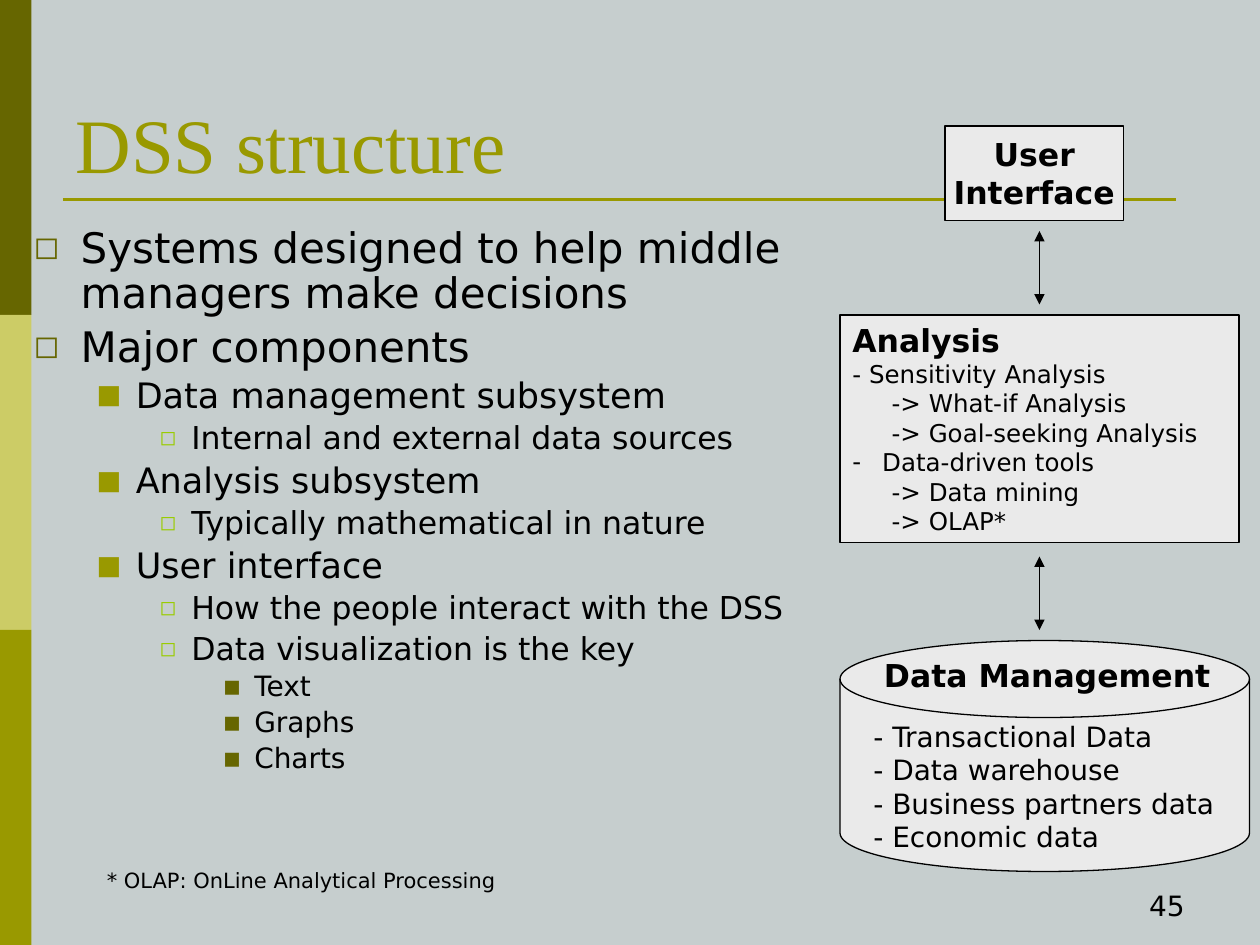
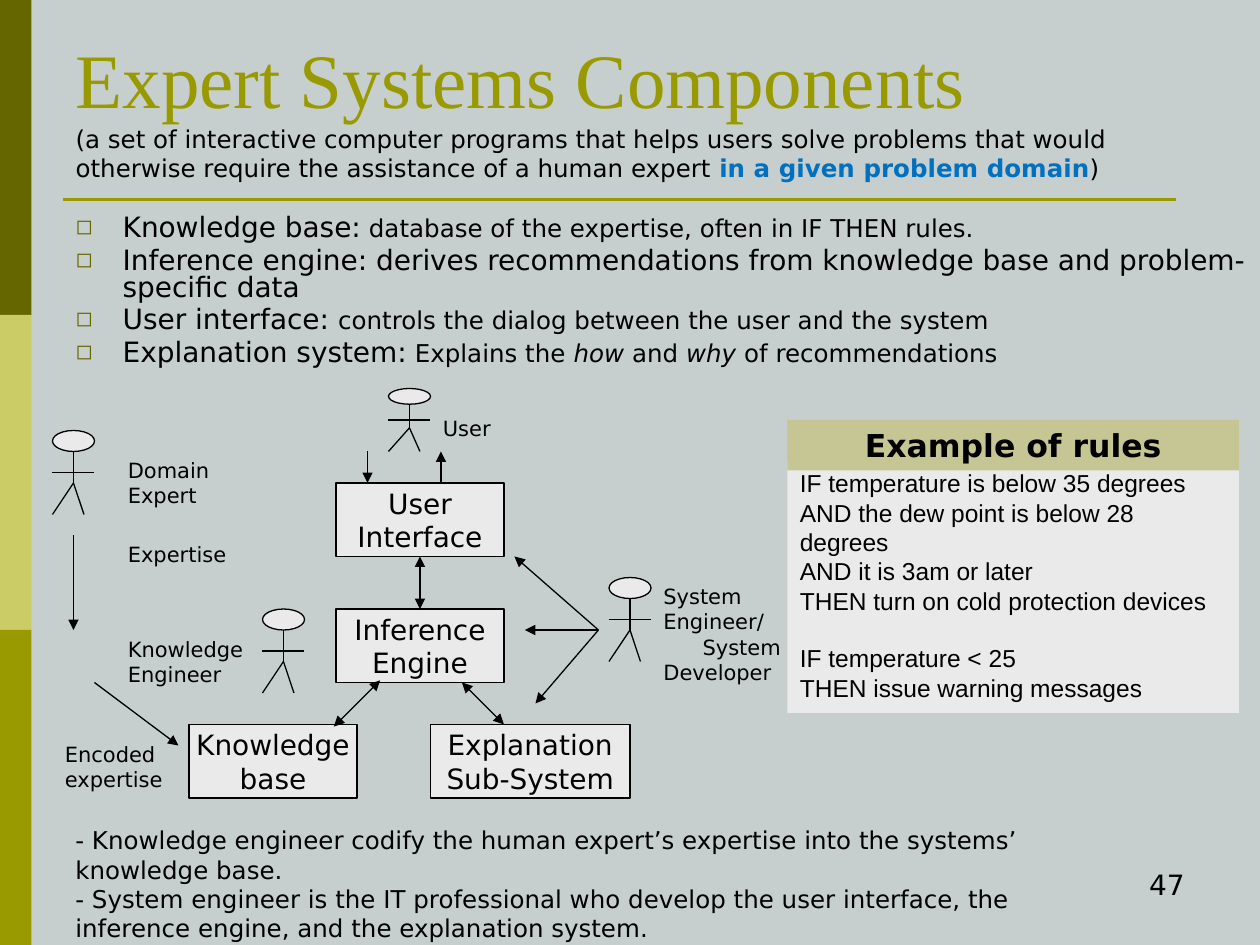
from lxml import etree
from pptx import Presentation
from pptx import util as u
from pptx.dml.color import RGBColor
from pptx.enum import shapes, text
from pptx.oxml import ns

OLIVE_DARK = RGBColor(0x66, 0x66, 0x00)
OLIVE_LIGHT = RGBColor(0xCC, 0xCC, 0x66)
OLIVE = RGBColor(0x99, 0x99, 0x00)
LIME = RGBColor(0x99, 0xCC, 0x00)
KHAKI = RGBColor(0xC5, 0xC6, 0x94)
BACKDROP = RGBColor(0xC6, 0xCE, 0xCE)
PANEL = RGBColor(0xEA, 0xEA, 0xEA)
BLUE = RGBColor(0x00, 0x70, 0xC0)
BLACK = RGBColor(0, 0, 0)

SANS, SERIF, RULE_FONT = "DejaVu Sans", "Times New Roman", "Arial"
LEFT, CENTER, RIGHT = text.PP_ALIGN.LEFT, text.PP_ALIGN.CENTER, text.PP_ALIGN.RIGHT
TOP, MIDDLE, BOTTOM = text.MSO_ANCHOR.TOP, text.MSO_ANCHOR.MIDDLE, text.MSO_ANCHOR.BOTTOM
RECT, OVAL = shapes.MSO_SHAPE.RECTANGLE, shapes.MSO_SHAPE.OVAL
DISK = shapes.MSO_SHAPE.FLOWCHART_MAGNETIC_DISK

# Places are (left, top, width, height) on a grid of 120 by 90 cells
CELL = 25.4 / 120
SUB_INDENT = 0.79  # cm

DEFAULT = dict(size=12, font=SANS, color=BLACK, bold=False, italic=False, align=LEFT,
               before=0, spacing=1.0, level=0, indent=0, hang=0, bullet=None)
TITLE = dict(size=44, font=SERIF, color=OLIVE)

# Outline levels: bullet is (character, colour, percent of text size)
LEVELS = [
    dict(size=24, indent=0.95, hang=0.95, bullet=("◻", OLIVE_DARK, 75)),
    dict(size=20, indent=2.06, hang=0.79, bullet=("■", OLIVE, 75)),
    dict(size=18, indent=3.18, hang=0.64, bullet=("◻", LIME, 65)),
    dict(size=16, indent=4.45, hang=0.64, bullet=("▪", OLIVE_DARK, 100)),
]

# ---- DSS structure ----
DSS_OUTLINE = [
    (0, "Systems designed to help middle managers make decisions"),
    (0, "Major components"),
    (1, "Data management subsystem"),
    (2, "Internal and external data sources"),
    (1, "Analysis subsystem"),
    (2, "Typically mathematical in nature"),
    (1, "User interface"),
    (2, "How the people interact with the DSS"),
    (2, "Data visualization is the key"),
    (3, "Text"),
    (3, "Graphs"),
    (3, "Charts"),
]
SUB = dict(indent=SUB_INDENT)
ANALYSIS = [
    ("Analysis", dict(size=18, bold=True)),
    "- Sensitivity Analysis",
    ("-> What-if Analysis", SUB),
    ("-> Goal-seeking Analysis", SUB),
    ("Data-driven tools", dict(indent=0.6, hang=0.6, bullet=("-", BLACK, 100))),
    ("-> Data mining", SUB),
    ("-> OLAP*", SUB),
]
DATA_SOURCES = ["- Transactional Data", "- Data warehouse",
                "- Business partners data", "- Economic data"]
DSS_ARROWS = [(99, 60, 99, 53), (99, 22, 99, 29)]

# ---- Expert Systems Components ----
DETAIL = dict(size=14)
ITALIC = dict(size=14, italic=True)
EXPERT_TITLE = [
    "Expert Systems Components",
    (["(a set of interactive computer programs that helps users solve problems that would "
      "otherwise require the assistance of a human expert ",
      ("in a given problem domain", dict(color=BLUE, bold=True)), ")"],
     dict(size=14, font=SANS, color=BLACK)),
]
EXPERT_PARTS = [
    ["Knowledge base:", (" database of the expertise, often in IF THEN rules.", DETAIL)],
    ["Inference engine: derives recommendations from knowledge base and "
     "problem-specific data"],
    ["User interface: ", ("controls the dialog between the user and the system", DETAIL)],
    ["Explanation system:", (" Explains the ", DETAIL), ("how", ITALIC), (" and ", DETAIL),
     ("why", ITALIC), (" of recommendations", DETAIL)],
]
MODULES = {
    "knowledge": (["Knowledge", "base"], (18, 69, 16, 7)),
    "explanation": (["Explanation", "Sub-System"], (41, 69, 19, 7)),
    "inference": (["Inference", "Engine"], (32, 58, 16, 7)),
    "interface": (["User", "Interface"], (32, 46, 16, 7)),
}
# Left, top and scale of each stick figure
PEOPLE = [(5, 41, 1), (25, 58, 1), (37, 37, 0.75), (58, 55, 1)]
LABELS = [
    (["Domain Expert"], (11, 43, 12, 6)),
    (["Knowledge Engineer"], (11, 60, 14, 6)),
    (["Expertise"], (11, 51, 12, 3.6)),
    (["User"], (41, 39, 8, 3.6)),
    (["System", "Engineer/", ("System", SUB), "Developer"], (62, 55, 14, 11)),
    (["Encoded expertise"], (5, 70, 14, 6)),
]
ONE_WAY = [(7, 51, 7, 60), (9, 65, 17, 71), (35, 43, 35, 46), (42, 46, 42, 43),
           (57, 60, 49, 53), (57, 60, 50, 60), (57, 60, 51, 67)]
TWO_WAY = [(44, 65, 48, 69), (36.2, 64.8, 31.8, 69.2)]
RULES = [
    "IF temperature is below 35 degrees",
    "AND the dew point is below 28 degrees",
    "AND it is 3am or later",
    "THEN turn on cold protection devices",
    ("IF temperature < 25", dict(before=16)),
    "THEN issue warning messages",
]
ROLES = [
    "- Knowledge engineer codify the human expert’s expertise into the systems’ "
    "knowledge base.",
    "- System engineer is the IT professional who develop the user interface, the "
    "inference engine, and the explanation system.",
]


def cells(*counts):
    return [u.Cm(n * CELL) for n in counts]


def with_format(entry):
    return entry if isinstance(entry, tuple) else (entry, {})


def add_bullet(props, char, color, percent):
    for tag, attrs in (("buClr", {}), ("buSzPct", {"val": str(percent * 1000)}),
                       ("buFont", {"typeface": SANS}), ("buChar", {"char": char})):
        part = etree.SubElement(props, ns.qn("a:" + tag), attrs)
        if tag == "buClr":
            etree.SubElement(part, ns.qn("a:srgbClr"), val=str(color))


def write(frame, paragraphs, anchor=TOP, wrap=True, **base):
    """Fill a frame; a paragraph or run may be paired with a dict of its own format."""
    frame.word_wrap = wrap
    frame.auto_size = text.MSO_AUTO_SIZE.NONE
    frame.vertical_anchor = anchor
    for i, entry in enumerate(paragraphs):
        content, own = with_format(entry)
        look = {**DEFAULT, **base, **own}
        para = frame.add_paragraph() if i else frame.paragraphs[0]
        props = para._p.get_or_add_pPr()
        if look["indent"]:
            props.set("marL", str(u.Cm(look["indent"])))
            props.set("indent", str(-u.Cm(look["hang"])))
        if look["bullet"]:
            add_bullet(props, *look["bullet"])
        para.level = look["level"]
        para.alignment = look["align"]
        para.line_spacing = look["spacing"]
        para.space_before = u.Pt(look["before"] if i else 0)
        for piece in content if isinstance(content, list) else [content]:
            words, own_run = with_format(piece)
            run_look = {**look, **own_run}
            run = para.add_run()
            run.text = words
            run.font.size = u.Pt(run_look["size"])
            run.font.name = run_look["font"]
            run.font.bold = run_look["bold"]
            run.font.italic = run_look["italic"]
            run.font.color.rgb = run_look["color"]


def add_text(slide, paragraphs, place, **look):
    write(slide.shapes.add_textbox(*cells(*place)).text_frame, paragraphs, **look)


def add_block(parent, kind, place, fill=PANEL, outlined=True):
    block = parent.shapes.add_shape(kind, *cells(*place))
    block.shadow.inherit = False
    block.fill.solid()
    block.fill.fore_color.rgb = fill
    if outlined:
        block.line.color.rgb = BLACK
        block.line.width = u.Pt(0.75)
    else:
        block.line.fill.background()
    return block


def add_line(parent, ends, heads=(), color=BLACK, width=0.75):
    """Draw a line; heads lists the ends with arrows: headEnd, tailEnd."""
    line = parent.shapes.add_connector(shapes.MSO_CONNECTOR.STRAIGHT, *cells(*ends))
    line.line.color.rgb = color
    line.line.width = u.Pt(width)
    for end in heads:
        etree.SubElement(line.line._get_or_add_ln(), ns.qn("a:" + end), type="triangle")
    etree.SubElement(line._element.spPr, ns.qn("a:effectLst"))
    return line


BOTH, FORWARD = ("headEnd", "tailEnd"), ("tailEnd",)


def add_person(slide, left, top, scale):
    person = slide.shapes.add_group_shape()
    add_block(person, OVAL, (left, top, 4, 2 * scale))
    for x1, y1, x2, y2 in [(2, 5, 0, 8), (2, 5, 3, 8), (2, 2, 2, 5), (0, 4, 4, 4)]:
        add_line(person, (left + x1, top + y1 * scale, left + x2, top + y2 * scale))


def place_placeholder(holder, place):
    holder.left, holder.top, holder.width, holder.height = cells(*place)
    return holder.text_frame


def decorate_layout(layout, slide):
    """Draw the side bands and title rule, then move them into the layout."""
    bands = [add_block(slide, RECT, (0, 30 * i, 3, 30), fill, outlined=False)
             for i, fill in enumerate((OLIVE_DARK, OLIVE_LIGHT, OLIVE))]
    rule = add_line(slide, (6, 19, 112, 19), color=OLIVE, width=1.5)
    for i, part in enumerate([*bands, rule]):
        layout.shapes._spTree.insert(2 + i, part._element)


def start_slide(slide, title, title_place, number, number_top):
    write(place_placeholder(slide.shapes.title, title_place), title, anchor=BOTTOM, **TITLE)
    add_text(slide, [number], (86, number_top, 28, 6), size=16, align=RIGHT)


def build_dss(slide):
    start_slide(slide, ["DSS structure"], (6, 3.6, 108, 15), "45", 84)
    outline = [(words, dict(LEVELS[n], level=n, before=0.2 * LEVELS[n]["size"]))
               for n, words in DSS_OUTLINE]
    write(place_placeholder(slide.placeholders[1], (2, 21, 79, 59.4)), outline, spacing=0.9)
    interface = add_block(slide, RECT, (90, 12, 17, 9))
    write(interface.text_frame, ["User", "Interface"], anchor=MIDDLE, wrap=False,
          size=18, bold=True, align=CENTER)
    analysis = add_block(slide, RECT, (80, 30, 38, 21.7))
    write(analysis.text_frame, ANALYSIS, size=14)
    add_block(slide, DISK, (80, 61, 39, 22))
    add_text(slide, ["Data Management"], (83, 61.9, 34, 4.8), size=18, bold=True)
    add_text(slide, DATA_SOURCES, (82, 67.9, 36, 14), size=16)
    for ends in DSS_ARROWS:
        add_line(slide, ends, BOTH)
    add_text(slide, ["* OLAP: OnLine Analytical Processing"], (9, 82, 77, 3.6))


def build_expert(slide):
    start_slide(slide, EXPERT_TITLE, (6, 2, 108, 16), "47", 82)
    write(place_placeholder(slide.placeholders[1], (6, 20, 114, 17)), EXPERT_PARTS,
          **{**LEVELS[0], "size": 16}, spacing=0.8, before=3.2)
    for person in PEOPLE:
        add_person(slide, *person)
    modules = {}
    for key, (name, place) in MODULES.items():
        modules[key] = add_block(slide, RECT, place)
        write(modules[key].text_frame, name, anchor=MIDDLE, wrap=False, size=16, align=CENTER)
    for name, place in LABELS:
        add_text(slide, name, place)
    for ends in ONE_WAY:
        add_line(slide, ends, FORWARD)
    for ends in TWO_WAY:
        add_line(slide, ends, BOTH)
    dialog = add_line(slide, (40, 53, 40, 58), BOTH)
    dialog.begin_connect(modules["interface"], 2)
    dialog.end_connect(modules["inference"], 0)
    rules = add_block(slide, RECT, (75, 44, 43, 23.9), outlined=False)
    rules.text_frame.margin_right = u.Cm(0.4)
    write(rules.text_frame, RULES, size=14, font=RULE_FONT)
    heading = add_block(slide, RECT, (75, 40, 43, 4.8), KHAKI, outlined=False)
    write(heading.text_frame, ["Example of rules"], size=18, bold=True, align=CENTER)
    add_text(slide, ROLES, (6, 78, 101, 12.4), size=14)


def main():
    prs = Presentation()
    prs.slide_width, prs.slide_height = cells(120, 90)
    backdrop = prs.slide_master.background.fill
    backdrop.solid()
    backdrop.fore_color.rgb = BACKDROP
    layout = prs.slide_layouts[1]
    dss, expert = [prs.slides.add_slide(layout) for _ in range(2)]
    decorate_layout(layout, dss)
    build_dss(dss)
    build_expert(expert)
    prs.save("out.pptx")


if __name__ == "__main__":
    main()
